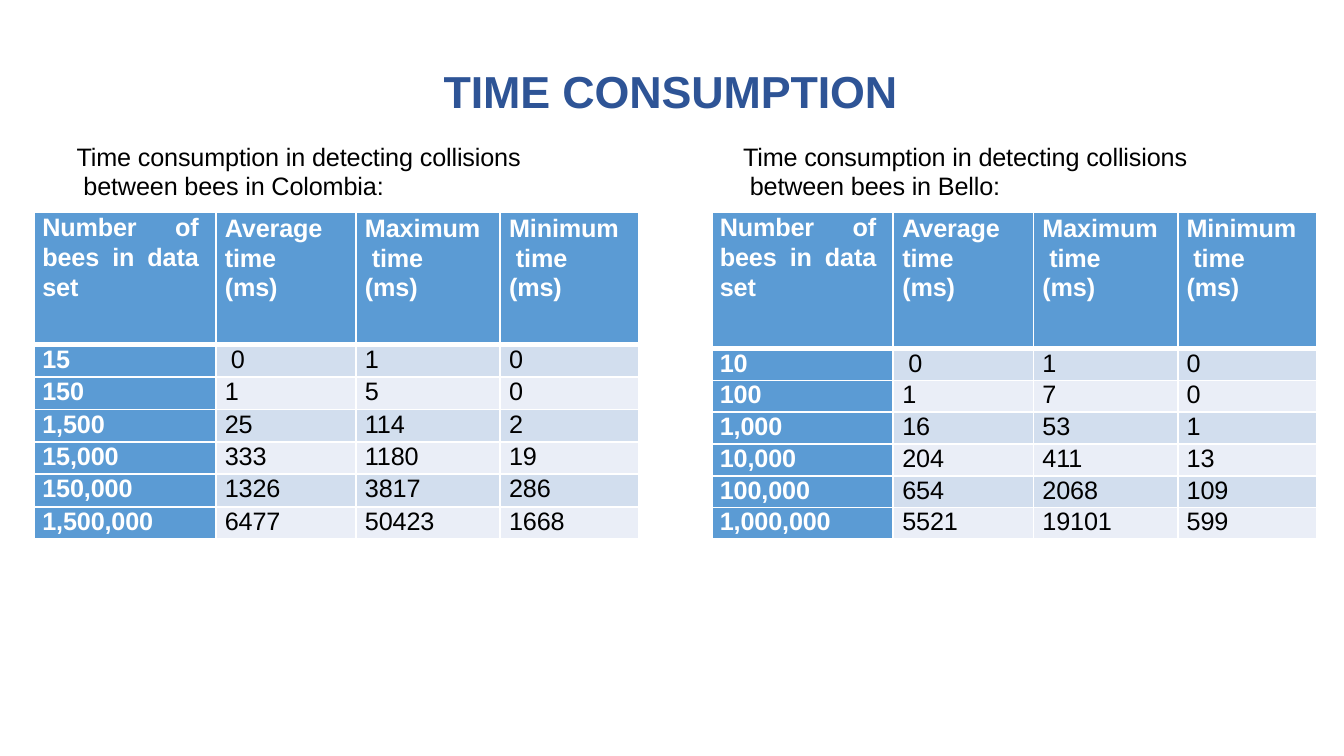
import lxml.etree
import pptx
import pptx.dml.color
import pptx.enum.text
import pptx.oxml.ns
import pptx.util

Inches = pptx.util.Inches
Pt = pptx.util.Pt
RGBColor = pptx.dml.color.RGBColor
Align = pptx.enum.text.PP_ALIGN

NAVY = RGBColor(0x2E, 0x54, 0x96)
HEADER_BLUE = RGBColor(0x5B, 0x9B, 0xD4)
BAND_DARK = RGBColor(0xD2, 0xDE, 0xEE)
BAND_LIGHT = RGBColor(0xEA, 0xEE, 0xF7)
WHITE = RGBColor(0xFF, 0xFF, 0xFF)
BLACK = RGBColor(0, 0, 0)

COLUMN_WIDTHS = [1.8, 1.39, 1.43, 1.38]
TABLE_HEIGHT = 3.25
HEADINGS = ["Number of bees in data set", "Average\vtime\v(ms)",
            "Maximum\v time\v(ms)", "Minimum\v time\v(ms)"]
COLOMBIA_TIMES = [
    ["15", "0", "1", "0"],
    ["150", "1", "5", "0"],
    ["1,500", "25", "114", "2"],
    ["15,000", "333", "1180", "19"],
    ["150,000", "1326", "3817", "286"],
    ["1,500,000", "6477", "50423", "1668"],
]
BELLO_TIMES = [
    ["10", "0", "1", "0"],
    ["100", "1", "7", "0"],
    ["1,000", "16", "53", "1"],
    ["10,000", "204", "411", "13"],
    ["100,000", "654", "2068", "109"],
    ["1,000,000", "5521", "19101", "599"],
]


def write_text(frame, text, size=18, color=BLACK, bold=False, align=Align.LEFT,
               line=None, before=0, tracking=-0.1):
    """Fill a text frame with one formatted paragraph."""
    paragraph = frame.paragraphs[0]
    paragraph.text = text
    paragraph.alignment = align
    paragraph.space_before = Pt(before)
    if line:
        paragraph.line_spacing = Pt(line)
    for run in paragraph.runs:
        run.font.name = "Arial"
        run.font.size = Pt(size)
        run.font.bold = bold
        run.font.color.rgb = color
        run.font._element.set("spc", str(round(tracking * 100)))


def add_label(slide, left, top, width, height, text, inset_top, wrap=True, **style):
    """Place a text box with tight margins."""
    frame = slide.shapes.add_textbox(
        Inches(left), Inches(top), Inches(width), Inches(height)).text_frame
    frame.word_wrap = wrap
    frame.margin_left = Inches(0.01)
    frame.margin_top = Inches(inset_top)
    frame.margin_right = frame.margin_bottom = 0
    write_text(frame, text, **style)


def set_borders(cell, top, bottom):
    """Draw white cell borders, with the top and bottom widths in points."""
    properties = cell._tc.get_or_add_tcPr()
    for side, width in (("L", 1.5), ("R", 1.5), ("T", top), ("B", bottom)):
        border = lxml.etree.SubElement(
            properties, pptx.oxml.ns.qn(f"a:ln{side}"), w=str(Pt(width)))
        fill = lxml.etree.SubElement(border, pptx.oxml.ns.qn("a:solidFill"))
        lxml.etree.SubElement(fill, pptx.oxml.ns.qn("a:srgbClr"), val=str(WHITE))


def format_cell(cell, text, row, column):
    """Style one cell according to its place in the table."""
    heading = row == 0
    labelled = heading or column == 0
    set_borders(cell, 4.25 if row == 1 else 1.5, 4.25 if heading else 1.5)
    cell.fill.solid()
    if labelled:
        cell.fill.fore_color.rgb = HEADER_BLUE
    else:
        cell.fill.fore_color.rgb = BAND_DARK if row % 2 else BAND_LIGHT
    cell.margin_left = Inches(0.15 if (row, column) == (1, 1) else 0.08 if column == 0 else 0.09)
    cell.margin_right = Inches(0.17 if heading and column == 0 else 0)
    cell.margin_top = Inches(0.02 if heading and column else 0)
    cell.margin_bottom = 0
    style = {"line": 20.6}
    if heading:
        style = {"line": 21, "before": 1.2}
        if column == 0:
            style = {"line": 21.4, "before": 0.2, "align": Align.JUSTIFY}
    write_text(cell.text_frame, text, bold=labelled,
               color=WHITE if labelled else BLACK, **style)


def add_times_table(slide, left, top, header_height, times):
    """Place a table of collision detection times."""
    rows = [HEADINGS] + times
    table = slide.shapes.add_table(
        len(rows), len(HEADINGS), Inches(left), Inches(top),
        Inches(sum(COLUMN_WIDTHS)), Inches(TABLE_HEIGHT)).table
    for column, width in zip(table.columns, COLUMN_WIDTHS):
        column.width = Inches(width)
    for index, values in enumerate(rows):
        body_height = (TABLE_HEIGHT - header_height) / len(times)
        table.rows[index].height = Inches(body_height if index else header_height)
        for column, text in enumerate(values):
            format_cell(table.cell(index, column), text, index, column)


def add_place_panel(slide, left, top, caption_offset, place, header_height, times):
    """Place a caption and the table below it."""
    add_label(slide, left + caption_offset, top, 4.6, 0.62,
              f"Time consumption in detecting collisions\v between bees in {place}:",
              0.03, line=21, before=2.2)
    add_times_table(slide, left, top + 0.72, header_height, times)


def main():
    """Build the time consumption slide."""
    presentation = pptx.Presentation()
    presentation.slide_width = Inches(13.33)
    presentation.slide_height = Inches(7.5)
    slide = presentation.slides.add_slide(presentation.slide_layouts[6])
    add_label(slide, 4.39, 0.62, 4.53, 0.56, "TIME CONSUMPTION", 0.01, wrap=False,
              size=32, color=NAVY, bold=True, before=1.1)
    add_place_panel(slide, 0.34, 1.38, 0.41, "Colombia", 1.32, COLOMBIA_TIMES)
    add_place_panel(slide, 7.06, 1.38, 0.3, "Bello", 1.36, BELLO_TIMES)
    presentation.save("out.pptx")


if __name__ == "__main__":
    main()
